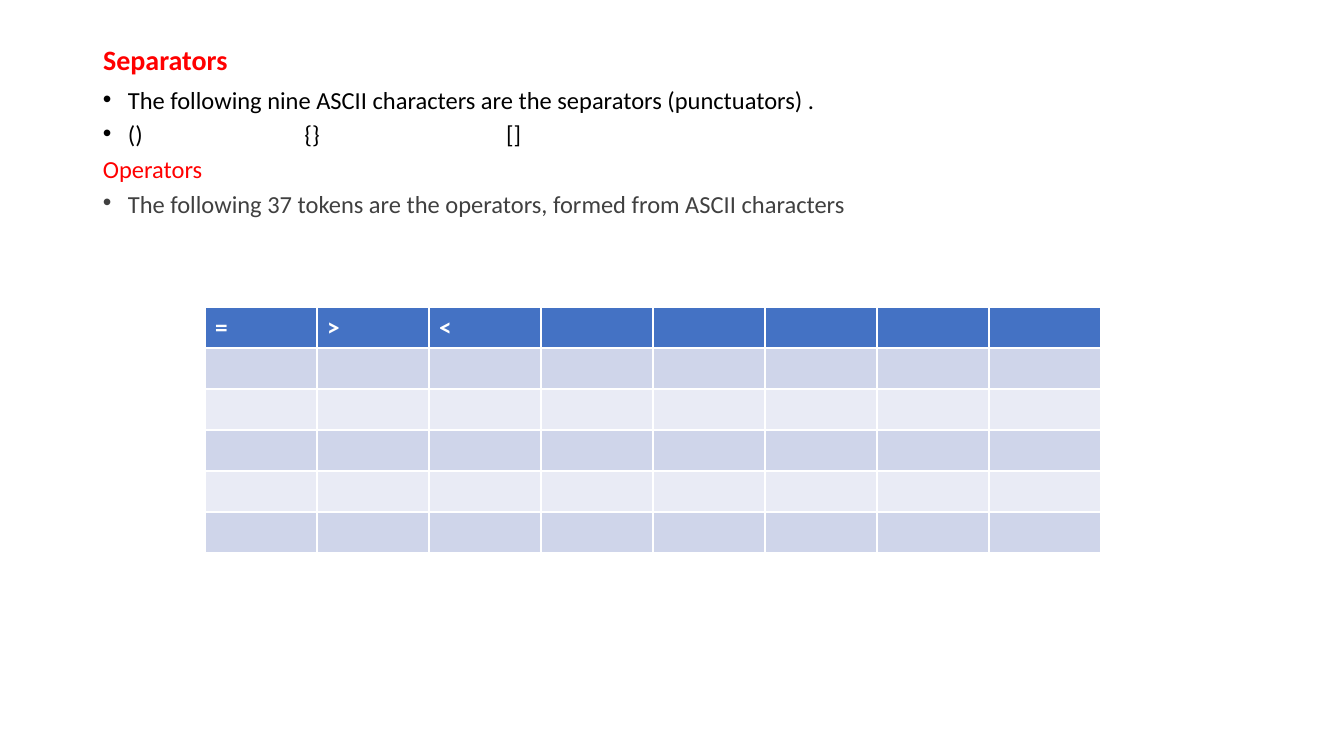
import pptx
import pptx.util
import pptx.dml.color
import pptx.enum.text
import pptx.oxml.ns
from lxml import etree

PX = 914400 / 100.8


def px(n):
    return pptx.util.Emu(round(n * PX))


def add_run(p, text, size, color, bold=False):
    r = p.add_run()
    r.text = text
    r.font.name = "Calibri"
    r.font.size = pptx.util.Pt(size)
    r.font.bold = bold
    r.font.color.rgb = pptx.dml.color.RGBColor.from_string(color)


prs = pptx.Presentation()
prs.slide_width, prs.slide_height = px(1344), px(756)
s = prs.slides.add_slide(prs.slide_layouts[5])

# Title
title = s.shapes.title
title.left, title.top, title.width, title.height = px(93), px(36), px(225), px(51)
tf = title.text_frame
tf.word_wrap = True
tf.vertical_anchor = pptx.enum.text.MSO_ANCHOR.MIDDLE
p = tf.paragraphs[0]
p.alignment = pptx.enum.text.PP_ALIGN.LEFT
p.line_spacing = 0.9
add_run(p, "Separators", 20, "FF0000", True)

# Separators and operators: text, colour, bulleted
lines = [
    ("The following nine ASCII characters are the separators (punctuators) .", "000000", True),
    ("() \t\t{}\t\t[]", "000000", True),
    ("Operators", "FF0000", False),
    ("The following 37 tokens are the operators, formed from ASCII characters", "404040", True),
]
tf = s.shapes.add_textbox(px(93), px(88), px(1159), px(146)).text_frame
tf.word_wrap = True
for i, (text, color, bulleted) in enumerate(lines):
    p = tf.paragraphs[0] if i == 0 else tf.add_paragraph()
    p.line_spacing = 0.7
    p.space_before = pptx.util.Pt(10)
    add_run(p, text, 17.5, color)
    if bulleted:
        pPr = p._p.get_or_add_pPr()
        pPr.set("marL", str(px(25)))
        pPr.set("indent", str(px(-25)))
        etree.SubElement(pPr, pptx.oxml.ns.qn("a:buFont")).set("typeface", "Arial")
        etree.SubElement(pPr, pptx.oxml.ns.qn("a:buChar")).set("char", "•")
    if "\t" in text:
        tabs = etree.SubElement(pPr, pptx.oxml.ns.qn("a:tabLst"))
        for inch in range(1, 5):
            tab = etree.SubElement(tabs, pptx.oxml.ns.qn("a:tab"))
            tab.set("pos", str(pptx.util.Inches(inch)))
            tab.set("algn", "l")

# Operator table
ROWS, COLS = 6, 8
CELL_W, CELL_H = 112, 41
operators = ["=", ">", "<"]
table = s.shapes.add_table(ROWS, COLS, px(205), px(307), px(COLS * CELL_W), px(ROWS * CELL_H)).table
for row in range(ROWS):
    fill = "4472C4" if row == 0 else ("E9EBF5", "CFD5EA")[row % 2]
    for col in range(COLS):
        cell = table.cell(row, col)
        cell.fill.solid()
        cell.fill.fore_color.rgb = pptx.dml.color.RGBColor.from_string(fill)
        if row == 0 and col < len(operators):
            add_run(cell.text_frame.paragraphs[0], operators[col], 18, "FFFFFF", True)

prs.save("out.pptx")
